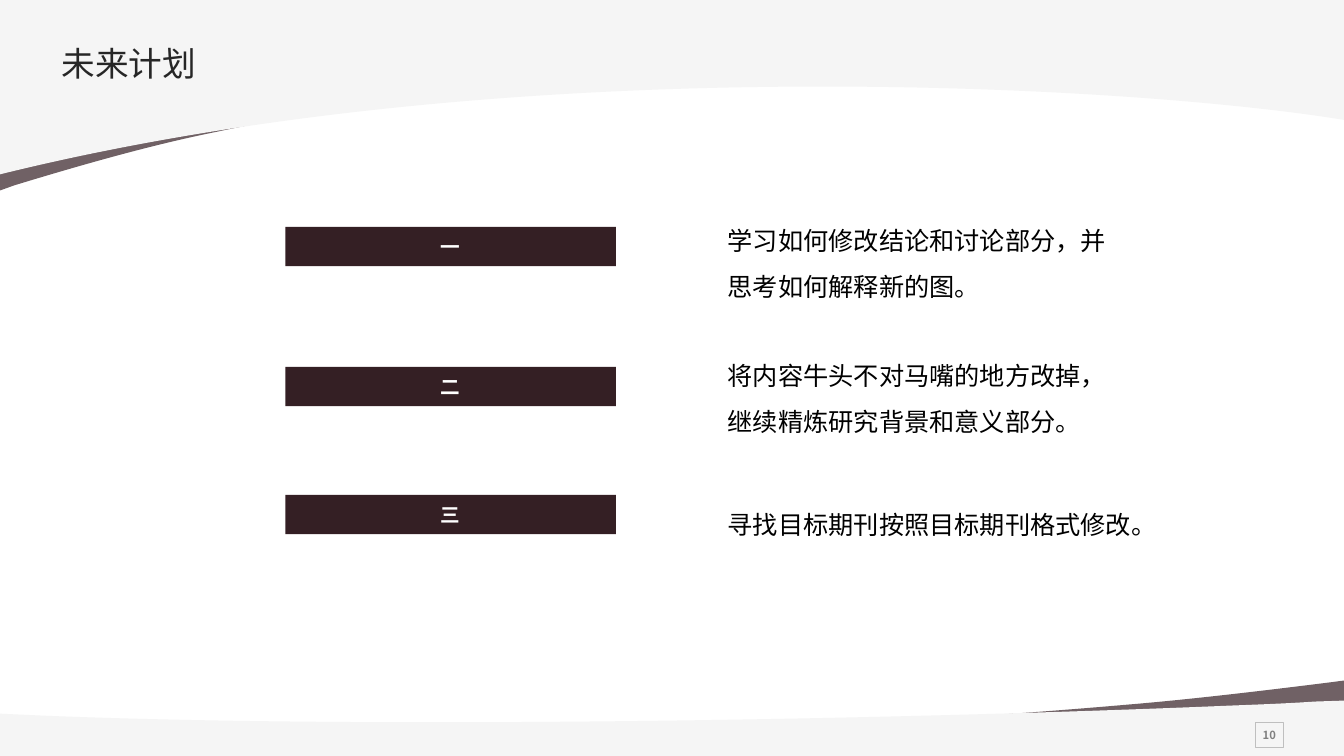
from lxml.etree import SubElement
from pptx import Presentation
from pptx.dml.color import RGBColor
from pptx.enum.shapes import MSO_SHAPE
from pptx.enum.text import MSO_ANCHOR, MSO_AUTO_SIZE, PP_ALIGN
from pptx.oxml.ns import qn
from pptx.util import Inches, Pt

COLOURS = {
    "plum": "341F24",
    "band": "F5F5F5",
    "white": "FFFFFF",
    "black": "000000",
    "title": "262626",
    "number": "808080",
    "frame": "BFBFBF",
}
HEADING_FONT = "Noto Sans CJK SC"
BODY_FONT = "Calibri"

TOP_SWOOSH = [
    (0, 1.89), (0, 0.22), (13.34, 0.22), (13.34, 0.91), (13.33, 0.91),
    (10.32, 0.06, 5.14, 0.67, 2.14, 1.31), (1.54, 1.43, 0.86, 1.62, 0.14, 1.84), (0, 1.89),
]
TOP_BAND = [(0, 0), (13.33, 0), (13.33, 1.19), (11.4, 0.87, 5.17, 0.45, 0, 1.73), (0, 0)]
BOTTOM_SWOOSH = [
    (13.34, 6.75), (13.34, 7.44), (0, 7.44), (0, 7.15), (0.01, 7.16),
    (3.01, 7.5, 8.2, 7.25, 11.19, 6.99), (11.79, 6.94, 12.47, 6.86, 13.19, 6.77), (13.34, 6.75),
]
BOTTOM_BAND = [
    (13.34, 6.95), (13.34, 7.17), (13.34, 7.19), (13.34, 7.5), (0, 7.5), (0, 7.19), (0, 7.17),
    (0, 7.08), (0.44, 7.1),
    (3.92, 7.24, 9.1, 7.13, 12.2, 7), (12.46, 6.99, 12.75, 6.98, 13.04, 6.96),
]
PLANS = [
    ("一", 2.25, "学习如何修改结论和讨论部分，并思考如何解释新的图。", (7.12, 2.04, 4.1, 1.01), 1.5),
    ("二", 3.64, "将内容牛头不对马嘴的地方改掉，继续精炼研究背景和意义部分。", (7.12, 3.38, 4.04, 1.01), 1.5),
    ("三", 4.91, "寻找目标期刊按照目标期刊格式修改。", (7.12, 5, 5, 0.4), None),
]


def colour(name):
    return RGBColor.from_string(COLOURS[name])


def apply_format(target, values):
    for name, value in values.items():
        setattr(target, name, value)


def paint(shape, fill=None, line=None):
    shape.shadow.inherit = False
    if fill:
        shape.fill.solid()
        shape.fill.fore_color.rgb = colour(fill)
    else:
        shape.fill.background()
    if line:
        shape.line.color.rgb = colour(line)
        shape.line.width = Pt(0.75)
    else:
        shape.line.fill.background()


def bend(sweep, outline):
    edges = list(sweep._element.iter(qn("a:lnTo")))
    for edge, segment in zip(edges, outline[1:]):
        if len(segment) == 2:
            continue
        edge.tag = qn("a:cubicBezTo")
        controls = [segment[:2], segment[2:4]]
        for index, (x, y) in enumerate(controls):
            point = SubElement(
                edge, qn("a:pt"), x=str(Inches(x) - sweep.left), y=str(Inches(y) - sweep.top)
            )
            edge.insert(index, point)


def add_sweep(page, outline, fill, opacity=100):
    corners = [tuple(map(Inches, segment[-2:])) for segment in outline]
    builder = page.shapes.build_freeform(*corners[0])
    builder.add_line_segments(corners[1:], close=True)
    sweep = builder.convert_to_shape()
    bend(sweep, outline)
    paint(sweep, fill)
    if opacity < 100:
        tint = sweep._element.spPr.find(qn("a:solidFill")).find(qn("a:srgbClr"))
        SubElement(tint, qn("a:alpha"), val=str(opacity * 1000))


def write(shape, text, font, size, ink, frame, paragraph, bold=False):
    apply_format(shape.text_frame, frame)
    para = shape.text_frame.paragraphs[0]
    apply_format(para, paragraph)
    span = para.add_run()
    span.text = text
    apply_format(span.font, {"name": font, "size": Pt(size), "bold": bold})
    span.font.color.rgb = colour(ink)
    SubElement(span.font._element, qn("a:ea"), typeface=font)


def add_text(page, text, place, font, size, ink, frame, spacing):
    box = page.shapes.add_textbox(*map(Inches, place))
    write(box, text, font, size, ink, {"word_wrap": True, **frame}, {"line_spacing": spacing})


def add_label(page, text, place, size, ink, frame, fill=None, line=None):
    box = page.shapes.add_shape(MSO_SHAPE.RECTANGLE, *map(Inches, place))
    paint(box, fill, line)
    write(box, text, HEADING_FONT, size, ink, frame, {"alignment": PP_ALIGN.CENTER}, bold=True)


def margins(left, top, right, bottom):
    sides = {"left": left, "top": top, "right": right, "bottom": bottom}
    return {f"margin_{side}": Inches(size) for side, size in sides.items()}


def main():
    deck = Presentation()
    apply_format(deck, {"slide_width": Inches(13.33), "slide_height": Inches(7.5)})
    page = deck.slides.add_slide(deck.slide_layouts[6])

    add_sweep(page, TOP_SWOOSH, "plum", 70)
    add_sweep(page, TOP_BAND, "band")
    add_sweep(page, BOTTOM_SWOOSH, "plum", 70)
    add_sweep(page, BOTTOM_BAND, "band")

    number_frame = {"word_wrap": False, "vertical_anchor": MSO_ANCHOR.MIDDLE, **margins(0.08, 0.08, 0.08, 0.08)}
    add_label(page, "10", (12.45, 7.17, 0.28, 0.25), 8, "number", number_frame, line="frame")
    add_text(page, "未来计划", (0.53, 0.39, 12, 0.58), HEADING_FONT, 24, "title", margins(0.08, 0.08, 0, 0.08), 0.9)

    grow = {"auto_size": MSO_AUTO_SIZE.SHAPE_TO_FIT_TEXT}
    label_frame = {"word_wrap": True, "vertical_anchor": MSO_ANCHOR.TOP, **grow, **margins(0.1, 0.08, 0.1, 0.08)}
    for numeral, top, plan, place, spacing in PLANS:
        add_label(page, numeral, (2.83, top, 3.28, 0.39), 14, "white", label_frame, fill="plum")
        add_text(page, plan, place, BODY_FONT, 18, "black", grow, spacing)

    deck.save("out.pptx")


if __name__ == "__main__":
    main()
